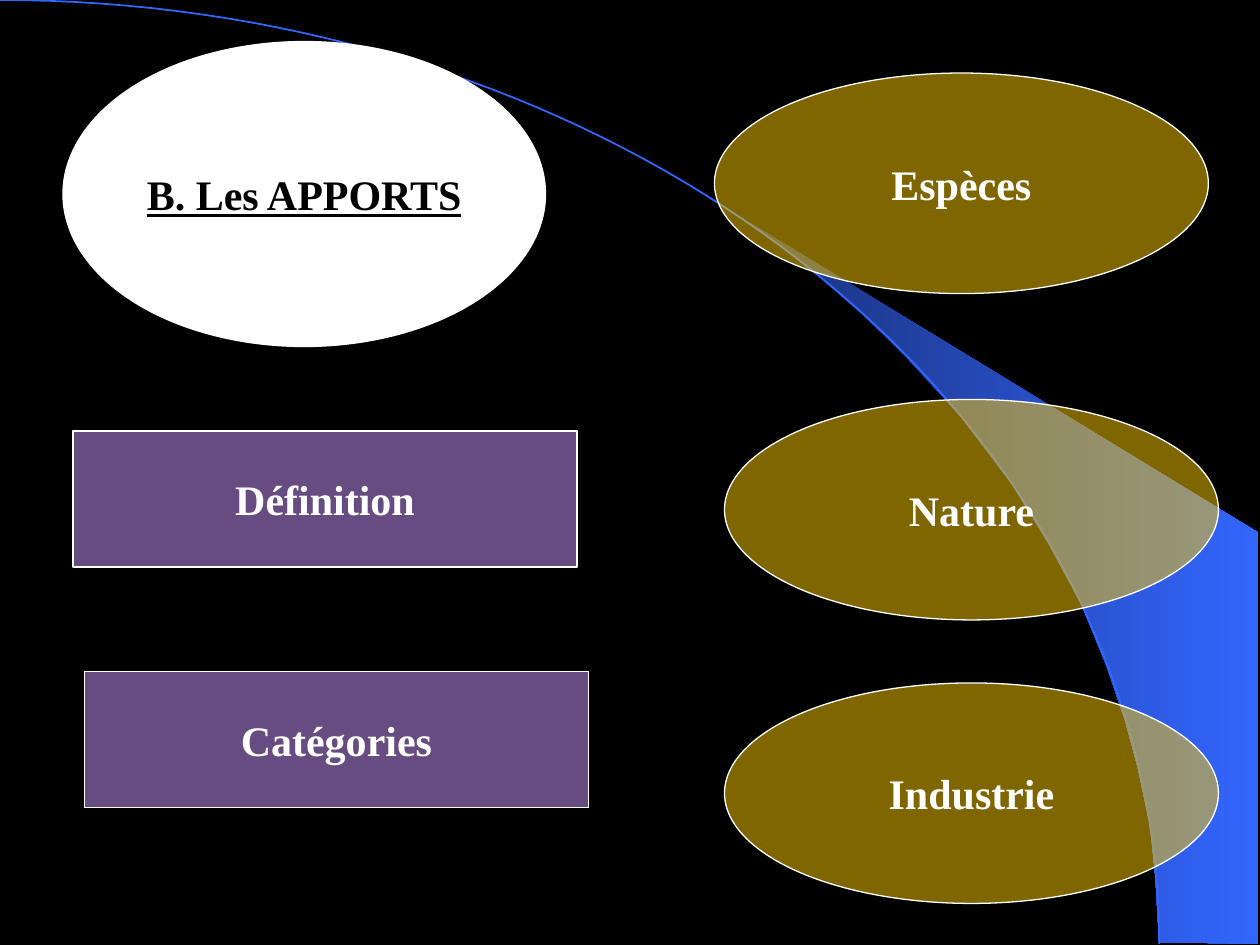
"""Build the slide on the kinds of contributions, with its sweeping blue curve."""
from math import cos, pi, sin

from lxml.etree import SubElement
from pptx import Presentation
from pptx.dml.color import RGBColor
from pptx.enum.shapes import MSO_SHAPE as Shape
from pptx.enum.text import MSO_ANCHOR as Anchor, PP_ALIGN as Align
from pptx.oxml.ns import qn
from pptx.util import Inches, Pt

TOPIC = ("B. Les APPORTS", 0.5, 0.33)
SECTIONS = [("Définition", 0.58, 3.42), ("Catégories", 0.67, 5.33)]
KINDS = [("Espèces", 5.67, 0.58), ("Nature", 5.75, 3.17), ("Industrie", 5.75, 5.42)]

THEME = {
    "background": "000000", "line": "FFFFFF", "font": "Times New Roman",
    "size": 24, "line_width": 0.75, "curve_width": 1,
    "band_start": "182F76", "band_end": "3366FF",
}
STYLES = {
    "topic": {"shape": Shape.OVAL, "size": (3.83, 2.42), "fill": "FFFFFF",
              "alpha": 100, "text": "000000", "underline": True},
    "section": {"shape": Shape.RECTANGLE, "size": (4, 1.08), "fill": "CC99FF",
                "alpha": 50, "text": "FFFFFF", "underline": False},
    "kind": {"shape": Shape.OVAL, "size": (3.92, 1.75), "fill": "FFCC00",
             "alpha": 50, "text": "FFFFFF", "underline": False},
}

CURVE_WIDTH, CURVE_HEIGHT, CURVE_STEPS = 9.2, 7.49, 72
CURVE = [
    (CURVE_WIDTH * sin(step / CURVE_STEPS * pi / 2),
     CURVE_HEIGHT * (1 - cos(step / CURVE_STEPS * pi / 2)))
    for step in range(CURVE_STEPS + 1)
]
BAND = [
    (9.2, 7.48), (9.99, 7.49), (9.99, 4.23), (5.89, 1.73), (6.24, 1.99),
    (6.53, 2.22), (6.85, 2.5), (7.16, 2.8), (7.62, 3.3), (8.03, 3.84),
    (8.32, 4.31), (8.58, 4.79), (8.78, 5.28), (8.93, 5.72), (9.03, 6.09),
    (9.13, 6.56), (9.17, 6.96),
]


def color(value):
    """Turn a hex string into a colour."""
    return RGBColor.from_string(value)


def add_outline(slide, points, close):
    """Draw a freeform through points given in inches."""
    start, *rest = [(Inches(x), Inches(y)) for x, y in points]
    builder = slide.shapes.build_freeform(*start)
    builder.add_line_segments(rest, close=close)
    outline = builder.convert_to_shape()
    outline.shadow.inherit = False
    return outline


def add_backdrop(slide):
    """Draw the gradient band and the curve along its edge."""
    band = add_outline(slide, BAND, True)
    band.line.fill.background()
    band.fill.gradient()
    band.fill.gradient_angle = 0
    for stop, name in zip(band.fill.gradient_stops, ("band_start", "band_end")):
        stop.color.rgb = color(THEME[name])
    curve = add_outline(slide, CURVE, False)
    curve.fill.background()
    curve.line.color.rgb = color(THEME["band_end"])
    curve.line.width = Pt(THEME["curve_width"])


def add_label(slide, label, style):
    """Draw one labelled shape in the given style."""
    text, left, top = label
    box = slide.shapes.add_shape(
        style["shape"], *map(Inches, (left, top, *style["size"])))
    box.shadow.inherit = False
    box.fill.solid()
    box.fill.fore_color.rgb = color(style["fill"])
    if style["alpha"] < 100:
        tint = box.fill._xPr.find(qn("a:solidFill"))[0]
        SubElement(tint, qn("a:alpha"), val=str(style["alpha"] * 1000))
    box.line.color.rgb = color(THEME["line"])
    box.line.width = Pt(THEME["line_width"])
    frame = box.text_frame
    frame.word_wrap = False
    frame.vertical_anchor = Anchor.MIDDLE
    para = frame.paragraphs[0]
    para.alignment = Align.CENTER
    span = para.add_run()
    span.text = text
    formats = {"name": THEME["font"], "size": Pt(THEME["size"]),
               "bold": True, "underline": style["underline"]}
    for name, value in formats.items():
        setattr(span.font, name, value)
    span.font.color.rgb = color(style["text"])


def main():
    """Build and save the deck."""
    deck = Presentation()
    deck.slide_width, deck.slide_height = Inches(10), Inches(7.5)
    slide = deck.slides.add_slide(deck.slide_layouts[6])
    slide.background.fill.solid()
    slide.background.fill.fore_color.rgb = color(THEME["background"])
    add_backdrop(slide)
    groups = {"topic": [TOPIC], "section": SECTIONS, "kind": KINDS}
    for name, labels in groups.items():
        for label in labels:
            add_label(slide, label, STYLES[name])
    deck.save("out.pptx")


if __name__ == "__main__":
    main()
